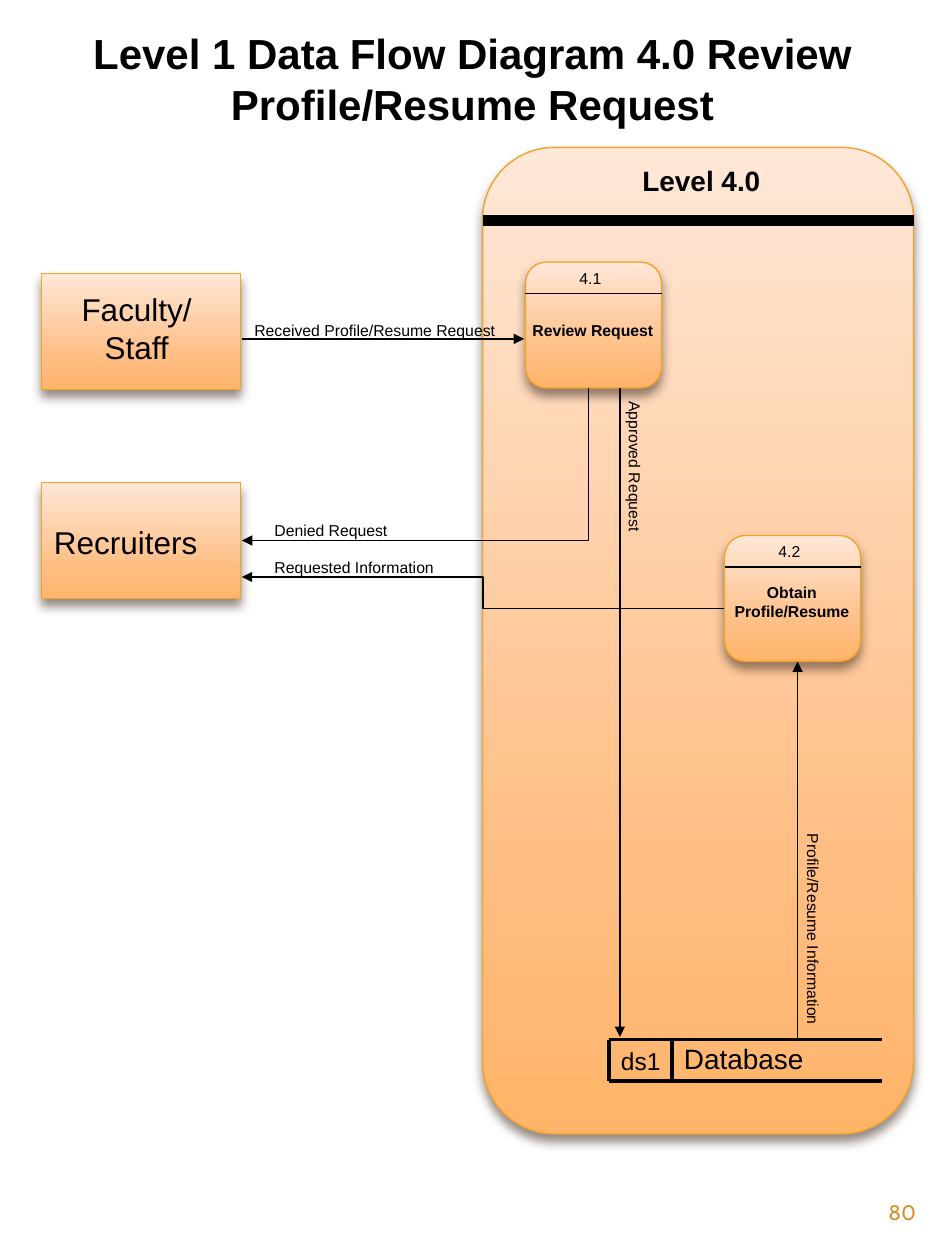
from dataclasses import dataclass

from lxml import etree
from pptx import Presentation
from pptx.dml.color import RGBColor
from pptx.enum.shapes import MSO_CONNECTOR as CONN, MSO_SHAPE as SHAPE
from pptx.enum.text import MSO_ANCHOR as ANCHOR, MSO_AUTO_SIZE as AUTO, PP_ALIGN as ALIGN
from pptx.oxml.ns import qn
from pptx.util import Inches, Pt

COLORS = {"ink": "000000", "edge": "F0A22E", "shadow": "4E3B30", "number": "D48F29"}
GRADIENT = [(0, "FFE7D7"), (72, "FFBE84"), (100, "FFB468")]


@dataclass
class Box:
    left: float
    top: float
    width: float
    height: float
    kind: SHAPE = SHAPE.ROUNDED_RECTANGLE


@dataclass
class Label:
    text: str
    left: float
    top: float
    width: float
    height: float = 0.25
    size: float = 9
    bold: bool = False
    align: ALIGN = ALIGN.LEFT
    rotation: float = 0
    wrap: bool = True
    font: str = "Arial"
    color: str = "ink"
    anchor: ANCHOR = ANCHOR.TOP


@dataclass
class Line:
    x1: float
    y1: float
    x2: float
    y2: float
    weight: float = 0.75
    arrow: bool = False
    kind: CONN = CONN.STRAIGHT


@dataclass
class Process:
    number: str
    name: str
    left: float
    top: float
    name_top: float
    name_height: float


def add_color(parent, value: str):
    return etree.SubElement(parent, qn("a:srgbClr"), val=value)


def add_box(slide, b: Box) -> None:
    s = slide.shapes.add_shape(b.kind, Inches(b.left), Inches(b.top),
                               Inches(b.width), Inches(b.height))
    s.line.color.rgb = RGBColor.from_string(COLORS["edge"])
    s.line.width = Pt(0.79)
    # Three-stop vertical gradient
    s.fill.gradient()
    s.fill.gradient_angle = 270
    stops = s._element.spPr.find(qn("a:gradFill")).find(qn("a:gsLst"))
    for stop in list(stops):
        stops.remove(stop)
    for pos, value in GRADIENT:
        add_color(etree.SubElement(stops, qn("a:gs"), pos=str(pos * 1000)), value)
    # Soft shadow below
    s.shadow.inherit = False
    effects = s._element.spPr.find(qn("a:effectLst"))
    shadow = etree.SubElement(effects, qn("a:outerShdw"), blurRad=str(Pt(6)),
                              dist=str(Pt(4)), dir="5400000", rotWithShape="0")
    etree.SubElement(add_color(shadow, COLORS["shadow"]), qn("a:alpha"), val="60000")


def write_text(tf, label: Label) -> None:
    tf.word_wrap = label.wrap
    tf.auto_size = AUTO.NONE
    tf.vertical_anchor = label.anchor
    p = tf.paragraphs[0]
    p.alignment = label.align
    r = p.add_run()
    r.text = label.text
    r.font.name = label.font
    r.font.size = Pt(label.size)
    r.font.bold = label.bold
    r.font.color.rgb = RGBColor.from_string(COLORS[label.color])


def add_label(slide, label: Label) -> None:
    sp = slide.shapes.add_textbox(Inches(label.left), Inches(label.top),
                                  Inches(label.width), Inches(label.height))
    sp.rotation = label.rotation
    write_text(sp.text_frame, label)


def add_line(slide, line: Line) -> None:
    c = slide.shapes.add_connector(line.kind, Inches(line.x1), Inches(line.y1),
                                   Inches(line.x2), Inches(line.y2))
    c.line.color.rgb = RGBColor.from_string(COLORS["ink"])
    c.line.width = Pt(line.weight)
    if line.arrow:
        etree.SubElement(c.line._get_or_add_ln(), qn("a:tailEnd"), type="triangle")
    etree.SubElement(c._element.spPr, qn("a:effectLst"))


def add_process(slide, pr: Process) -> None:
    width, band = 1.08, 0.25
    add_box(slide, Box(pr.left, pr.top, width, 1))
    add_line(slide, Line(pr.left, pr.top + band, pr.left + width, pr.top + band))
    add_label(slide, Label(pr.number, pr.left + 0.33, pr.top, 0.75))
    add_label(slide, Label(pr.name, pr.left - 0.05, pr.name_top, 1.17, pr.name_height,
                           bold=True, align=ALIGN.CENTER))


ENTITIES = [
    Box(0.33, 2.17, 1.58, 0.92, SHAPE.RECTANGLE),
    Box(0.33, 3.83, 1.58, 0.92, SHAPE.RECTANGLE),
]
PANEL = Box(3.83, 1.17, 3.42, 7.83)
PROCESSES = [
    Process("4.1", "Review Request", 4.17, 2.08, 2.5, 0.25),
    Process("4.2", "Obtain Profile/Resume", 5.75, 4.25, 4.58, 0.4),
]
LINES = [
    Line(3.83, 1.75, 7.25, 1.75, 6),
    # Data store
    Line(4.83, 8.25, 4.83, 8.58, 2.25),
    Line(5.33, 8.25, 5.33, 8.58, 2.25),
    Line(4.83, 8.25, 7, 8.25, 2.25),
    Line(4.83, 8.58, 7, 8.58, 2.25),
    # Data flows
    Line(1.92, 2.69, 4.16, 2.69, arrow=True),
    Line(4.67, 3.08, 4.67, 4.29),
    Line(4.67, 4.29, 1.92, 4.29, arrow=True),
    Line(4.92, 3.08, 4.92, 8.23, arrow=True),
    Line(6.33, 8.25, 6.33, 5.25, arrow=True),
    Line(5.75, 4.83, 1.92, 4.58, arrow=True, kind=CONN.ELBOW),
]
LABELS = [
    Label("Faculty/ Staff", 0.5, 2.25, 1.17, 0.71, 18, align=ALIGN.CENTER),
    Label("Recruiters", 0.33, 4.1, 1.58, 0.4, 18),
    Label("Level 4.0", 5, 1.25, 1.15, 0.37, 16, bold=True, wrap=False),
    Label("ds1", 4.83, 8.25, 0.75, 0.33, 14),
    Label("Database", 5.33, 8.22, 1.17, 0.37, 16),
    Label("Received Profile/Resume Request", 1.92, 2.5, 2.17),
    Label("Denied Request", 2.08, 4.08, 2),
    Label("Requested Information", 2.08, 4.38, 2),
    Label("Approved Request", 4.25, 3.75, 1.58, rotation=90),
    Label("Profile/Resume Information", 5.59, 7.26, 1.73, rotation=90),
    Label("80", 6.75, 9.44, 0.62, 0.36, 12, align=ALIGN.RIGHT, font="Cabin",
          color="number", anchor=ANCHOR.MIDDLE),
]
TITLE = Label("Level 1 Data Flow Diagram 4.0 Review Profile/Resume Request",
              0, 0.17, 7.5, 0.91, 24, bold=True, align=ALIGN.CENTER)


def main() -> None:
    prs = Presentation()
    prs.slide_width, prs.slide_height = Inches(7.5), Inches(10)
    slide = prs.slides.add_slide(prs.slide_layouts[5])

    # Title
    title = slide.shapes.title
    title.left, title.top = Inches(TITLE.left), Inches(TITLE.top)
    title.width, title.height = Inches(TITLE.width), Inches(TITLE.height)
    write_text(title.text_frame, TITLE)

    # Diagram, from back to front
    for box in [*ENTITIES, PANEL]:
        add_box(slide, box)
    for process in PROCESSES:
        add_process(slide, process)
    for line in LINES:
        add_line(slide, line)
    for label in LABELS:
        add_label(slide, label)

    prs.save("out.pptx")


if __name__ == "__main__":
    main()
